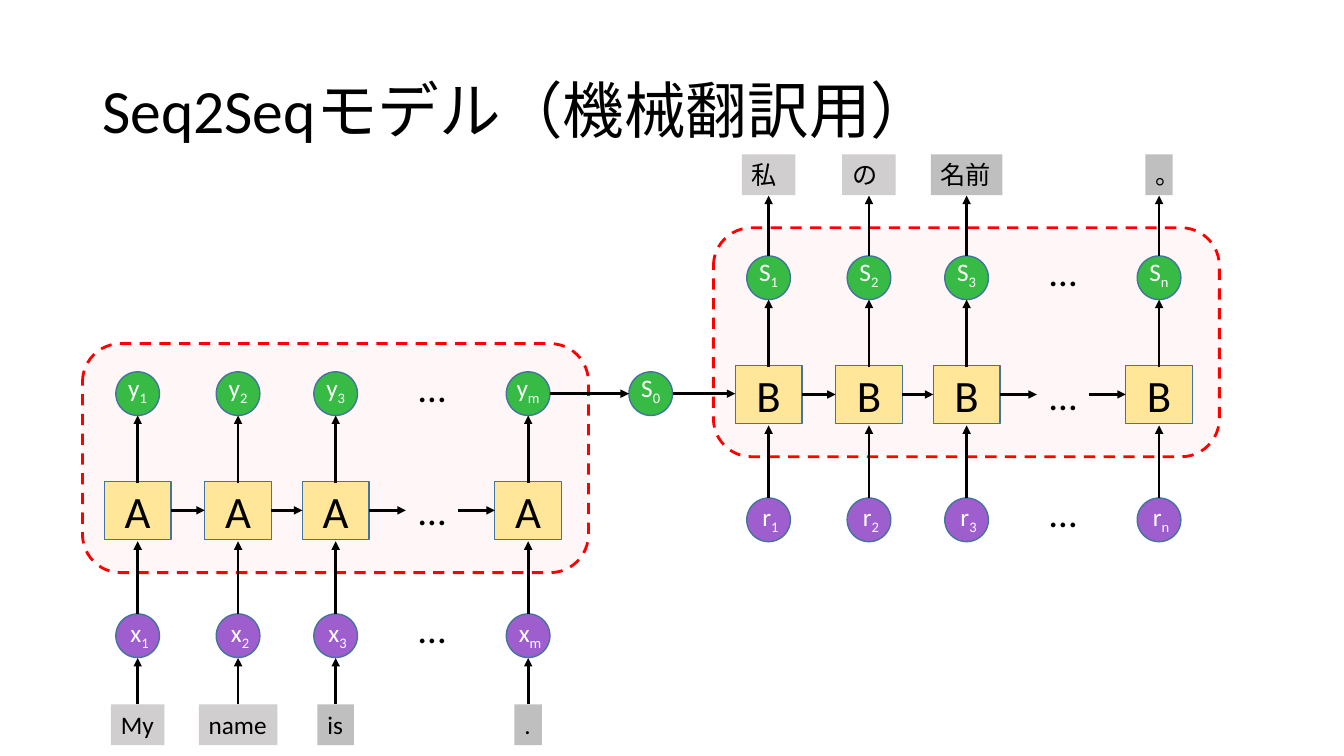
from itertools import pairwise

from lxml import etree
from pptx import Presentation
from pptx.dml.color import RGBColor
from pptx.enum.dml import MSO_LINE
from pptx.enum.lang import MSO_LANGUAGE_ID
from pptx.enum.shapes import MSO_CONNECTOR, MSO_SHAPE
from pptx.enum.text import MSO_ANCHOR, PP_ALIGN
from pptx.oxml.ns import qn
from pptx.util import Cm, Pt

COLORS = {
    "black": "000000", "white": "FFFFFF", "panel": "FFF7F7", "dash": "FF0000",
    "cell": "FFE699", "edge": "43739E", "output": "37BB44", "input": "9E5ECE",
    "word": "D0CECE", "word_dark": "BFBFBF",
}
FONT = "Calibri"
JAPANESE = MSO_LANGUAGE_ID.JAPANESE

PANEL_W, PANEL_H = 12.75, 5.77
COLUMNS = [1.39, 3.92, 6.38, 11.23]
DOTS_X, DOTS_W, DOTS_H = 8.81, 1.32, 1.45
DOTS_TOPS = [0.36, 3.48, 6.45]
CELL_W, CELL_H, CELL_Y = 1.68, 1.46, 3.47
NODE_D, OUTPUT_Y, INPUT_Y = 1.1, 0.71, 6.81
WORD_H = 1.03
ENCODER = (2.08, 8.66)
DECODER = (17.98, 5.74)
STATE_X = 15.85


def rgb(name):
    return RGBColor.from_string(COLORS[name])


def add_text(sp, text, sub="", size=18, color="black", align=PP_ALIGN.LEFT,
             anchor=MSO_ANCHOR.TOP, wrap=True, insets=None, spacing=None, lang=None):
    tf = sp.text_frame
    tf.word_wrap = wrap
    tf.vertical_anchor = anchor
    if insets:
        tf.margin_left, tf.margin_top, tf.margin_right, tf.margin_bottom = map(Cm, insets)
    p = tf.paragraphs[0]
    p.alignment = align
    p.line_spacing = spacing
    for part in filter(None, (text, sub)):
        r = p.add_run()
        r.text = part
        r.font.name = FONT
        r.font.size = Pt(size)
        r.font.color.rgb = rgb(color)
        if lang:
            r.font.language_id = lang
    if sub:
        r.font._element.set("baseline", "-25000")


def add_box(slide, kind, x, y, w, h, fill, line=None, width=1):
    sp = slide.shapes.add_shape(kind, Cm(x), Cm(y), Cm(w), Cm(h))
    sp.shadow.inherit = False
    sp.fill.solid()
    sp.fill.fore_color.rgb = rgb(fill)
    if line:
        sp.line.color.rgb = rgb(line)
        sp.line.width = Pt(width)
    else:
        sp.line.fill.background()
    return sp


def add_arrow(slide, x1, y1, x2, y2):
    cxn = slide.shapes.add_connector(MSO_CONNECTOR.STRAIGHT, Cm(x1), Cm(y1), Cm(x2), Cm(y2))
    cxn.line.color.rgb = rgb("black")
    cxn.line.width = Pt(2)
    etree.SubElement(cxn.line._get_or_add_ln(), qn("a:tailEnd"), type="triangle")
    etree.SubElement(cxn._element.spPr, qn("a:effectLst"))


def add_node(slide, x, y, letter, index, fill):
    sp = add_box(slide, MSO_SHAPE.OVAL, x, y, NODE_D, NODE_D, fill, "edge")
    insets = (0, 0, 0, 0.23) if fill == "output" else (0.1, 0, 0, 0.08)
    add_text(sp, letter, index, color="white", align=PP_ALIGN.CENTER,
             anchor=MSO_ANCHOR.MIDDLE, wrap=False, insets=insets)


def add_title(slide, x, y, w, h, text):
    sp = slide.shapes.add_textbox(Cm(x), Cm(y), Cm(w), Cm(h))
    add_text(sp, text, size=44, anchor=MSO_ANCHOR.MIDDLE, spacing=0.9, lang=JAPANESE)


def add_network(slide, x, y, cell, output, source, last):
    panel = add_box(slide, MSO_SHAPE.ROUNDED_RECTANGLE, x, y, PANEL_W, PANEL_H,
                    "panel", "dash", 2)
    panel.line.dash_style = MSO_LINE.DASH
    for column, index in zip(COLUMNS, ["1", "2", "3", last]):
        cx = x + column
        sp = add_box(slide, MSO_SHAPE.RECTANGLE, cx - CELL_W / 2, y + CELL_Y,
                     CELL_W, CELL_H, "cell", "edge")
        add_text(sp, cell, size=32, align=PP_ALIGN.CENTER, anchor=MSO_ANCHOR.MIDDLE)
        add_node(slide, cx - NODE_D / 2, y + OUTPUT_Y, output, index, "output")
        add_node(slide, cx - NODE_D / 2, y + INPUT_Y, source, index, "input")
        add_arrow(slide, cx, y + INPUT_Y, cx, y + CELL_Y + CELL_H + 0.05)
        add_arrow(slide, cx, y + CELL_Y + 0.05, cx, y + OUTPUT_Y + NODE_D)
    for top in DOTS_TOPS:
        sp = slide.shapes.add_textbox(Cm(x + DOTS_X - DOTS_W / 2), Cm(y + top),
                                      Cm(DOTS_W), Cm(DOTS_H))
        add_text(sp, "…", size=28, align=PP_ALIGN.CENTER)
    stops = sorted([(c, CELL_W / 2) for c in COLUMNS] + [(DOTS_X, DOTS_W / 2)])
    mid = y + CELL_Y + CELL_H / 2
    for (left, left_half), (right, right_half) in pairwise(stops):
        add_arrow(slide, x + left + left_half, mid, x + right - right_half, mid)


def add_words(slide, x, y, words, arrow_from, arrow_to, lang=None):
    fills = ["word", "word", "word_dark", "word_dark"]
    for column, (word, w), fill in zip(COLUMNS, words, fills):
        cx = x + column
        sp = add_box(slide, MSO_SHAPE.RECTANGLE, cx - w / 2, y, w, WORD_H, fill)
        add_text(sp, word, insets=(0.25, 0.13, 0, 0.13), lang=lang)
        add_arrow(slide, cx, y + arrow_from, cx, y + arrow_to)


def add_state(slide, x, y, left, right):
    mid = y + NODE_D / 2
    add_node(slide, x, y, "S", "0", "output")
    add_arrow(slide, left, mid, x, mid)
    add_arrow(slide, x + NODE_D, mid, right, mid)


prs = Presentation()
prs.slide_width, prs.slide_height = Cm(33.87), Cm(19.05)
slide = prs.slides.add_slide(prs.slide_layouts[6])

add_title(slide, 2.33, 1.01, 29.21, 3.68, "Seq2Seqモデル（機械翻訳用）")
add_network(slide, *ENCODER, "A", "y", "x", "m")
add_network(slide, *DECODER, "B", "S", "r", "n")
add_state(slide, STATE_X, ENCODER[1] + OUTPUT_Y,
          ENCODER[0] + COLUMNS[-1] + NODE_D / 2, DECODER[0] + COLUMNS[0] - CELL_W / 2)
add_words(slide, ENCODER[0], ENCODER[1] + 9.09,
          [("My", 1.35), ("name", 1.98), ("is", 0.92), (".", 0.69)], 0, -1.17)
add_words(slide, DECODER[0], DECODER[1] - 1.85,
          [("私", 1.35), ("の", 1.35), ("名前", 1.8), ("。", 0.69)], 2.55, 1.04, JAPANESE)

prs.save("out.pptx")
